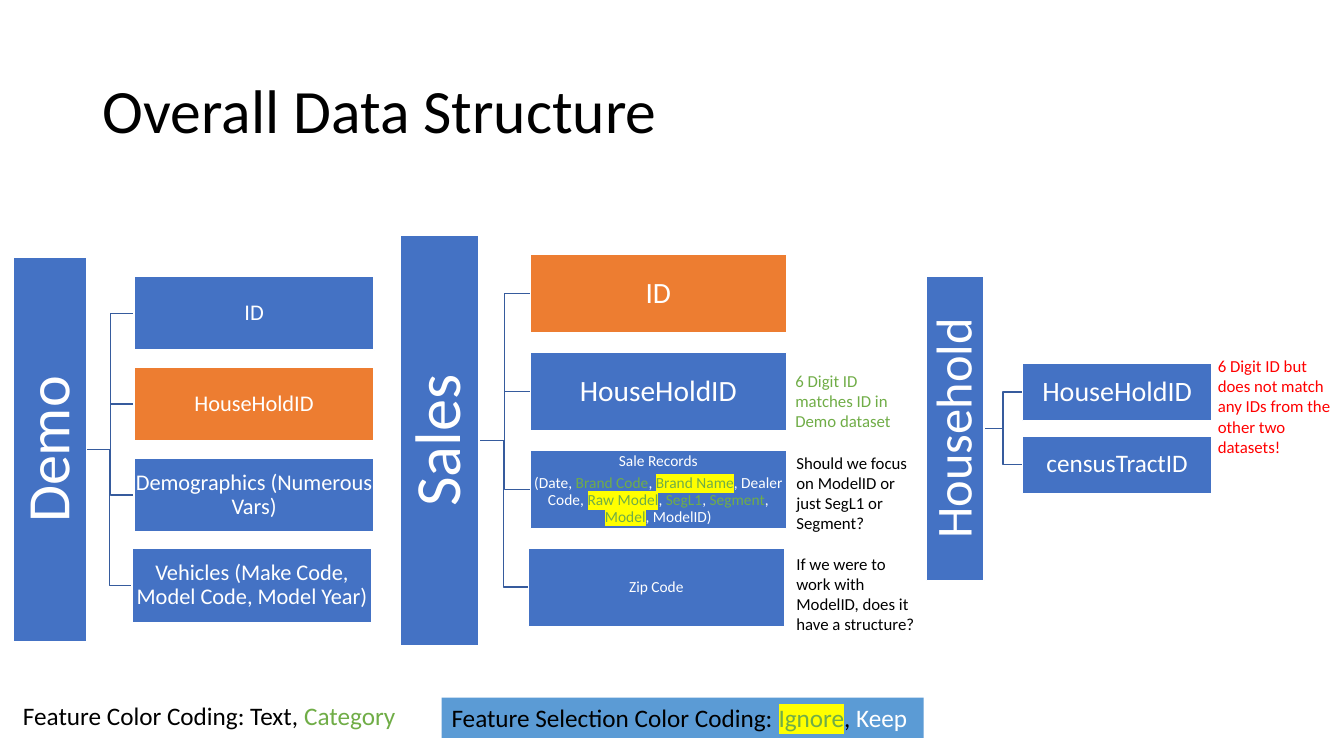
from dataclasses import dataclass

from pptx import Presentation, util as u
from pptx.dml.color import RGBColor
from pptx.enum import shapes, text
from pptx.oxml import ns, xmlchemy


@dataclass(frozen=True)
class Theme:
    font: str = "Calibri"
    black: str = "000000"
    white: str = "FFFFFF"
    blue: str = "4472C4"
    sky: str = "5B9BD5"
    orange: str = "ED7D31"
    green: str = "70AD47"
    red: str = "FF0000"
    yellow: str = "FFFF00"
    link: str = "365B9D"
    title: int = 44
    legend: int = 18
    note: int = 12
    small: int = 11


T = Theme()
SCALE = 9144  # 100 px to the inch


def px(n):
    return u.Emu(round(n * SCALE))


def rgb(tint):
    return RGBColor.from_string(tint)


def apply(target, style):
    for key, value in style.items():
        setattr(target, key, value)


class Slide:
    def __init__(self, deck, theme):
        self.theme = theme
        self.slide = deck.slides.add_slide(deck.slide_layouts[5])
        self.shapes = self.slide.shapes

    def letter(self, shape, paras, size, tint, frame, para):
        """Fill a shape with paragraphs, each a list of (text, colour, highlight)."""
        box = shape.text_frame
        apply(box, frame)
        for i, parts in enumerate(paras):
            line = box.add_paragraph() if i else box.paragraphs[0]
            apply(line, para)
            if i:
                line.space_before = u.Pt(frame_gap(size))
            for part in parts:
                words, shade, mark = (part + (None, None))[:3]
                run = line.add_run()
                run.text = words
                apply(run.font, {"size": u.Pt(size), "name": self.theme.font})
                run.font.color.rgb = rgb(shade or tint)
                if mark:
                    self.mark(run, mark)

    def mark(self, run, tint):
        light = xmlchemy.OxmlElement("a:highlight")
        hue = xmlchemy.OxmlElement("a:srgbClr")
        hue.set("val", tint)
        light.append(hue)
        run.font._element.find(ns.qn("a:solidFill")).addnext(light)

    def title(self, words, x, y, w, h):
        head = self.shapes.title
        apply(head, {"left": px(x), "top": px(y), "width": px(w), "height": px(h)})
        frame = {"vertical_anchor": text.MSO_ANCHOR.MIDDLE, "word_wrap": True,
                 "auto_size": text.MSO_AUTO_SIZE.NONE}
        para = {"alignment": text.PP_ALIGN.LEFT, "line_spacing": 0.9}
        self.letter(head, [[(words,)]], self.theme.title, self.theme.black, frame, para)

    def block(self, x, y, w, h, fill, edge=None):
        rect = self.shapes.add_shape(shapes.MSO_SHAPE.RECTANGLE, px(x), px(y), px(w), px(h))
        rect.shadow.inherit = False
        rect.fill.solid()
        rect.fill.fore_color.rgb = rgb(fill)
        if edge:
            rect.line.color.rgb = rgb(edge)
            rect.line.width = u.Pt(1)
        else:
            rect.line.fill.background()
        return rect

    def node(self, x, y, w, h, paras, size, fill, inset=1, turn=0):
        rect = self.block(x, y, w, h, fill, self.theme.white)
        rect.rotation = turn
        sides = ("left", "right", "top", "bottom")
        frame = {f"margin_{side}": px(inset) for side in sides}
        frame |= {"vertical_anchor": text.MSO_ANCHOR.MIDDLE, "word_wrap": True}
        para = {"alignment": text.PP_ALIGN.CENTER, "line_spacing": 0.9}
        self.letter(rect, paras, size, self.theme.white, frame, para)

    def elbow(self, x1, y1, x2, y2):
        bend = (x1 + x2) / 2
        path = [(px(a), px(b)) for a, b in ((x1, y1), (bend, y1), (bend, y2), (x2, y2))]
        pen = self.shapes.build_freeform(*path[0], scale=1.0)
        pen.add_line_segments(path[1:], close=False)
        link = pen.convert_to_shape()
        link.shadow.inherit = False
        link.fill.background()
        link.line.color.rgb = rgb(self.theme.link)
        link.line.width = u.Pt(1)

    def note(self, x, y, w, h, paras, size, tint, wrap=True, fill=None):
        if fill:
            box = self.block(x, y, w, h, fill)
        else:
            box = self.shapes.add_textbox(px(x), px(y), px(w), px(h))
        frame = {"word_wrap": wrap, "vertical_anchor": text.MSO_ANCHOR.TOP,
                 "auto_size": text.MSO_AUTO_SIZE.SHAPE_TO_FIT_TEXT}
        self.letter(box, paras, size, tint, frame, {"alignment": text.PP_ALIGN.LEFT})

    def tree(self, name, size, left, mid, tall, thick, start, width, pitch, rows, shift=0):
        """Draw an upright bar joined to evenly spaced rows; the last row may shift."""
        last = len(rows) - 1
        spots = [(start + (shift if i == last else 0), mid + (i - last / 2) * pitch)
                 for i in range(len(rows))]
        for x, y in reversed(spots):
            self.elbow(left + thick, mid, x, y)
        self.node(left + (thick - tall) / 2, mid - thick / 2, tall, thick,
                  [[(name,)]], size, self.theme.blue, inset=3, turn=270)
        for (x, y), (paras, points, fill) in zip(spots, rows):
            self.node(x, y - thick / 2, width, thick, paras, points, fill)


def frame_gap(size):
    """Gap above a later paragraph: a full line for notes, a third for small print."""
    return 14.6 if size == T.note else 3.9


def row(words, size, fill=T.blue):
    return [[(words,)]], size, fill


def main():
    deck = Presentation()
    apply(deck, {"slide_width": px(1333), "slide_height": px(750)})
    page = Slide(deck, T)
    page.title("Overall Data Structure", 92, 40, 1150, 145)

    # Demo dataset
    page.tree("Demo", 43, 13, 446, 382, 73, 133, 238, 90, [
        row("ID", 16),
        row("HouseHoldID", 16, T.orange),
        row("Demographics (Numerous Vars)", 16),
        row("Vehicles (Make Code, Model Code, Model Year)", 16),
    ], shift=-2)

    # Sales dataset
    fields = [
        ("(Date, ",), ("Brand Code", T.green), (", ",),
        ("Brand Name", T.green, T.yellow), (", Dealer Code, ",),
        ("Raw Model", T.green, T.yellow), (", ",), ("SegL1", T.green), (", ",),
        ("Segment", T.green), (", ",), ("Model", T.green, T.yellow), (", ModelID)",),
    ]
    page.tree("Sales", 46, 397, 437, 408, 78, 526, 254, 97, [
        row("ID", 21, T.orange),
        row("HouseHoldID", 21),
        ([[("Sale Records",)], fields], T.small, T.blue),
        row("Zip Code", T.small),
    ], shift=-2)

    # Household dataset
    page.tree("Household", 36, 919, 425, 302, 57, 1014, 188, 72, [
        row("HouseHoldID", 20),
        row("censusTractID", 18),
    ])

    # Side notes
    page.note(780, 444, 137, 192, [
        [("Should we focus on ModelID or just SegL1 or Segment?",)],
        [("If we were to work with ModelID, does it have a structure?",)],
    ], T.note, T.black)
    page.note(1198, 348, 144, 111, [
        [("6 Digit ID but does not match any IDs from the other two datasets!",)],
    ], T.note, T.red)
    page.note(779, 363, 120, 71, [[("6 Digit ID matches ID in Demo dataset",)]],
              T.note, T.green)

    # Colour legends
    page.note(13, 690, 394, 40, [
        [("Feature Color Coding: Text, ",), ("Category", T.green)],
    ], T.legend, T.black, wrap=False)
    page.note(438, 692, 478, 40, [
        [("Feature Selection Color Coding: ",), ("Ignore", T.green, T.yellow),
         (", ",), ("Keep", T.white)],
    ], T.legend, T.black, wrap=False, fill=T.sky)

    deck.save("out.pptx")


if __name__ == "__main__":
    main()
